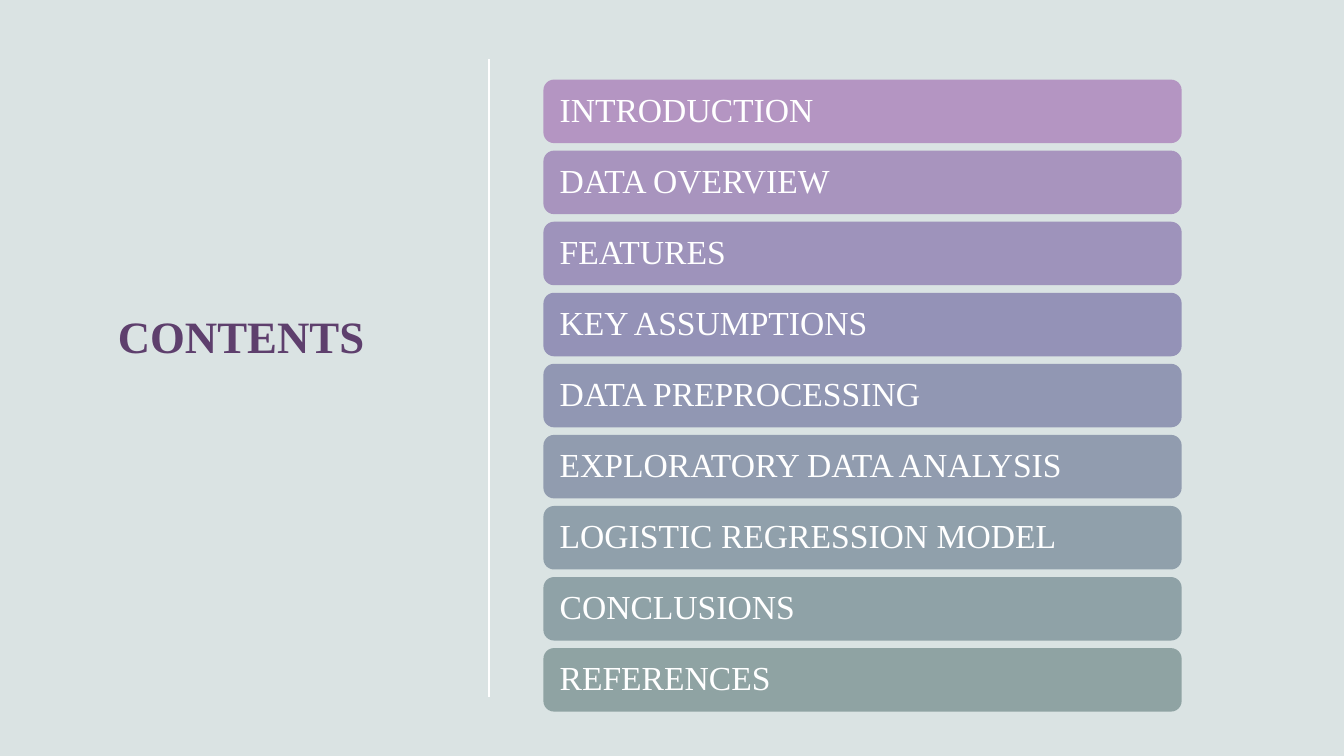
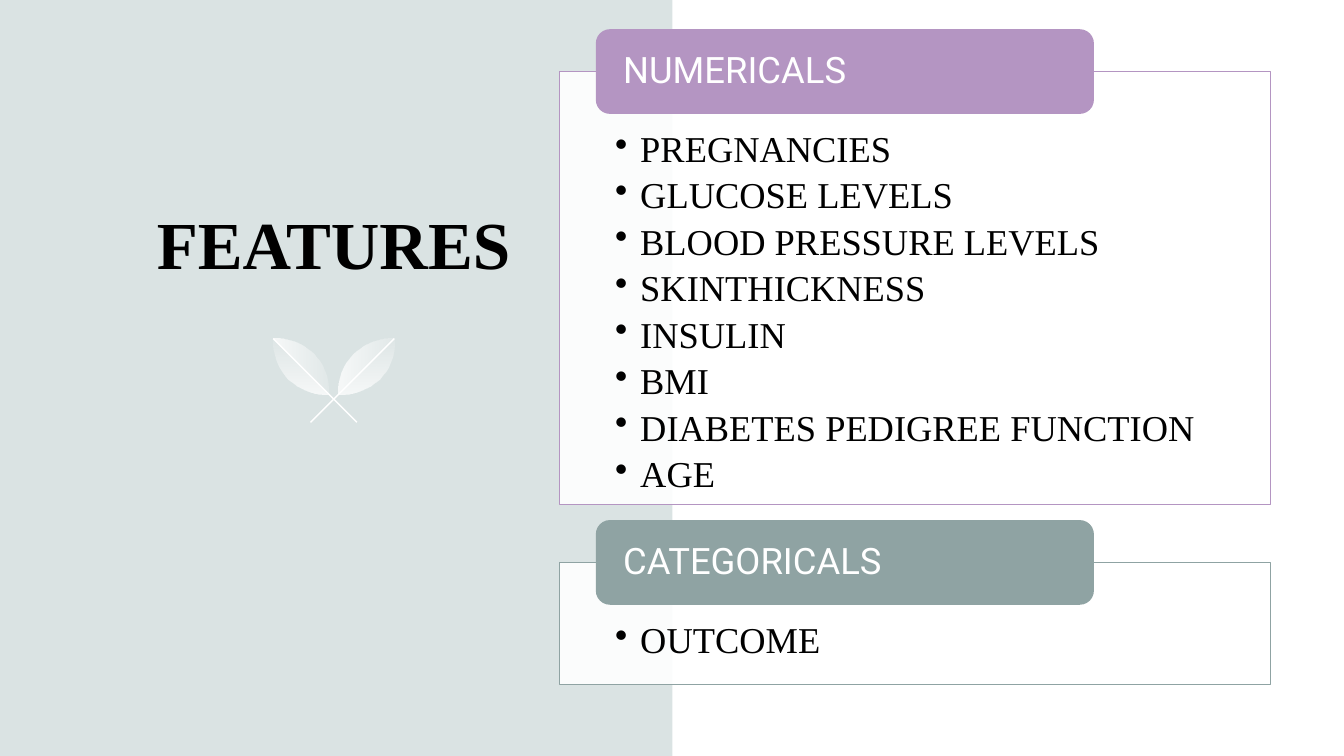
from dataclasses import dataclass
from typing import Optional

from pptx import Presentation
from pptx.dml.color import RGBColor
from pptx.enum.shapes import MSO_CONNECTOR, MSO_SHAPE
from pptx.enum.text import MSO_ANCHOR, PP_ALIGN
from pptx.oxml import parse_xml
from pptx.oxml.ns import nsdecls, qn
from pptx.util import Inches, Pt

SERIF = "Times New Roman"
SANS = "Roboto"
MIST = "DAE3E3"
WHITE = "FFFFFF"
BLACK = "000000"
PLUM = "5E3F6D"
LILAC = "B495C2"
SAGE = "8FA3A3"
MIDDLE = 3.31


@dataclass(frozen=True)
class Bar:
    label: str
    fill: str


@dataclass(frozen=True)
class Panel:
    label: str
    color: str
    top: float
    height: float
    items: tuple[str, ...]


@dataclass(frozen=True)
class Leaf:
    start: tuple[float, float]
    curves: tuple[tuple[tuple[float, float], ...], ...]
    fade: int
    angle: int


BARS = (
    Bar("INTRODUCTION", LILAC),
    Bar("DATA OVERVIEW", "A894BE"),
    Bar("FEATURES", "9E93BB"),
    Bar("KEY ASSUMPTIONS", "9492B7"),
    Bar("DATA PREPROCESSING", "9197B3"),
    Bar("EXPLORATORY DATA ANALYSIS", "919CAF"),
    Bar("LOGISTIC REGRESSION MODEL", "90A0AB"),
    Bar("CONCLUSIONS", "8FA2A7"),
    Bar("REFERENCES", SAGE),
)

PANELS = (
    Panel("NUMERICALS", LILAC, 0.71, 4.3, (
        "PREGNANCIES", "GLUCOSE LEVELS", "BLOOD PRESSURE LEVELS",
        "SKINTHICKNESS", "INSULIN", "BMI",
        "DIABETES PEDIGREE FUNCTION", "AGE")),
    Panel("CATEGORICALS", SAGE, 5.58, 1.21, ("OUTCOME",)),
)

LEAVES = (
    Leaf((0.6, 3.36), (
        ((0.46, 3.35), (0.31, 3.4), (0.2, 3.51)),
        ((0.09, 3.62), (0.04, 3.76), (0.05, 3.91))), 20, 0),
    Leaf((0.05, 3.91), (
        ((0.19, 3.92), (0.34, 3.86), (0.45, 3.76)),
        ((0.56, 3.65), (0.61, 3.5), (0.6, 3.36))), 10, 90),
)


def color(code: str) -> RGBColor:
    return RGBColor.from_string(code)


def fade(shape, *levels: int) -> None:
    tints = shape.fill._xPr.iter(qn("a:srgbClr"))
    for tint, level in zip(list(tints), levels):
        tint.append(parse_xml(
            f'<a:alpha {nsdecls("a")} val="{level * 1000}"/>'))


def block(slide, kind, left: float, top: float, width: float, height: float,
          fill: str, line: Optional[str] = None, alpha: int = 100):
    shape = slide.shapes.add_shape(
        kind, Inches(left), Inches(top), Inches(width), Inches(height))
    shape.shadow.inherit = False
    shape.fill.solid()
    shape.fill.fore_color.rgb = color(fill)
    if alpha < 100:
        fade(shape, alpha)
    if line:
        shape.line.color.rgb = color(line)
        shape.line.width = Pt(0.75)
    else:
        shape.line.fill.background()
    return shape


def write(shape, *lines: str, size: float, font: str = SERIF,
          tint: str = WHITE, bold: bool = False, align=PP_ALIGN.LEFT,
          anchor=MSO_ANCHOR.MIDDLE, inset=(0.1, 0.05, 0.1, 0.05),
          after: float = 0, bullet: bool = False) -> None:
    frame = shape.text_frame
    frame.word_wrap = True
    frame.vertical_anchor = anchor
    (frame.margin_left, frame.margin_top,
     frame.margin_right, frame.margin_bottom) = map(Inches, inset)
    for index, line in enumerate(lines):
        para = frame.add_paragraph() if index else frame.paragraphs[0]
        para.alignment = align
        para.line_spacing = 0.9
        para.space_after = Pt(after)
        if bullet:
            props = para._p.get_or_add_pPr()
            props.set("marL", str(Inches(0.25)))
            props.set("indent", str(Inches(-0.25)))
            props.append(parse_xml(
                f'<a:buChar {nsdecls("a")} char="•"/>'))
        run = para.add_run()
        run.text = line
        run.font.size = Pt(size)
        run.font.name = font
        run.font.bold = bold
        run.font.color.rgb = color(tint)


def title(slide, text: str, left: float, top: float, width: float,
          height: float, **style) -> None:
    box = slide.shapes.add_textbox(
        Inches(left), Inches(top), Inches(width), Inches(height))
    write(box, text, bold=True, **style)


def rule(slide, x1: float, y1: float, x2: float, y2: float) -> None:
    line = slide.shapes.add_connector(
        MSO_CONNECTOR.STRAIGHT, Inches(x1), Inches(y1), Inches(x2), Inches(y2))
    line.line.color.rgb = color(WHITE)
    line.line.width = Pt(1)
    line._element.spPr.append(parse_xml(f'<a:effectLst {nsdecls("a")}/>'))


def trace(leaf: Leaf, steps: int = 12) -> list[tuple[float, float]]:
    points = [leaf.start]
    for curve in leaf.curves:
        knots = (points[-1], *curve)
        for step in range(1, steps + 1):
            t = step / steps
            mix = ((1 - t) ** 3, 3 * t * (1 - t) ** 2,
                   3 * t * t * (1 - t), t ** 3)
            points.append((sum(m * k[0] for m, k in zip(mix, knots)),
                           sum(m * k[1] for m, k in zip(mix, knots))))
    return points


def sprig(slide, side: int) -> None:
    for leaf in LEAVES:
        points = [(Inches(MIDDLE + side * x), Inches(y))
                  for x, y in trace(leaf)]
        pen = slide.shapes.build_freeform(*points[0])
        pen.add_line_segments(points[1:], close=True)
        shape = pen.convert_to_shape()
        shape.shadow.inherit = False
        shape.fill.gradient()
        shape.fill.gradient_angle = leaf.angle
        for stop in shape.fill.gradient_stops:
            stop.color.rgb = color(WHITE)
        fade(shape, 80, leaf.fade)
        shape.line.fill.background()
    rule(slide, MIDDLE - side * 0.23, 4.19, MIDDLE + side * 0.6, 3.36)


def panel(slide, part: Panel) -> None:
    body = block(slide, MSO_SHAPE.RECTANGLE, 5.55, part.top, 7.05,
                 part.height, WHITE, line=part.color, alpha=90)
    write(body, *part.items, size=26, tint=BLACK, anchor=MSO_ANCHOR.TOP,
          inset=(0.55, 0.59, 0.55, 0.2), after=5.1, bullet=True)
    head = block(slide, MSO_SHAPE.ROUNDED_RECTANGLE, 5.91, part.top - 0.42,
                 4.94, 0.84, part.color)
    write(head, part.label, size=26, font=SANS, inset=(0.23, 0, 0.23, 0))


def start(deck):
    slide = deck.slides.add_slide(deck.slide_layouts[6])
    slide.background.fill.solid()
    slide.background.fill.fore_color.rgb = color(MIST)
    return slide


def contents(deck) -> None:
    slide = start(deck)
    title(slide, "CONTENTS", 1.07, 3.07, 3.06, 0.86, size=32, tint=PLUM,
          anchor=MSO_ANCHOR.TOP)
    rule(slide, 4.85, 0.59, 4.85, 6.91)
    for index, bar in enumerate(BARS):
        shape = block(slide, MSO_SHAPE.ROUNDED_RECTANGLE, 5.39,
                      0.79 + index * 0.705, 6.33, 0.63, bar.fill)
        write(shape, bar.label, size=24, inset=(0.13, 0.05, 0.13, 0.05))


def features(deck) -> None:
    slide = start(deck)
    title(slide, "FEATURES", 1.08, 1.19, 4.46, 1.68, size=48, tint=BLACK,
          align=PP_ALIGN.CENTER, anchor=MSO_ANCHOR.BOTTOM)
    for side in (1, -1):
        sprig(slide, side)
    block(slide, MSO_SHAPE.RECTANGLE, 6.67, 0, 6.66, 7.5, WHITE)
    for part in PANELS:
        panel(slide, part)


def main() -> None:
    deck = Presentation()
    deck.slide_width = Inches(13.33)
    deck.slide_height = Inches(7.5)
    contents(deck)
    features(deck)
    deck.save("out.pptx")


if __name__ == "__main__":
    main()
